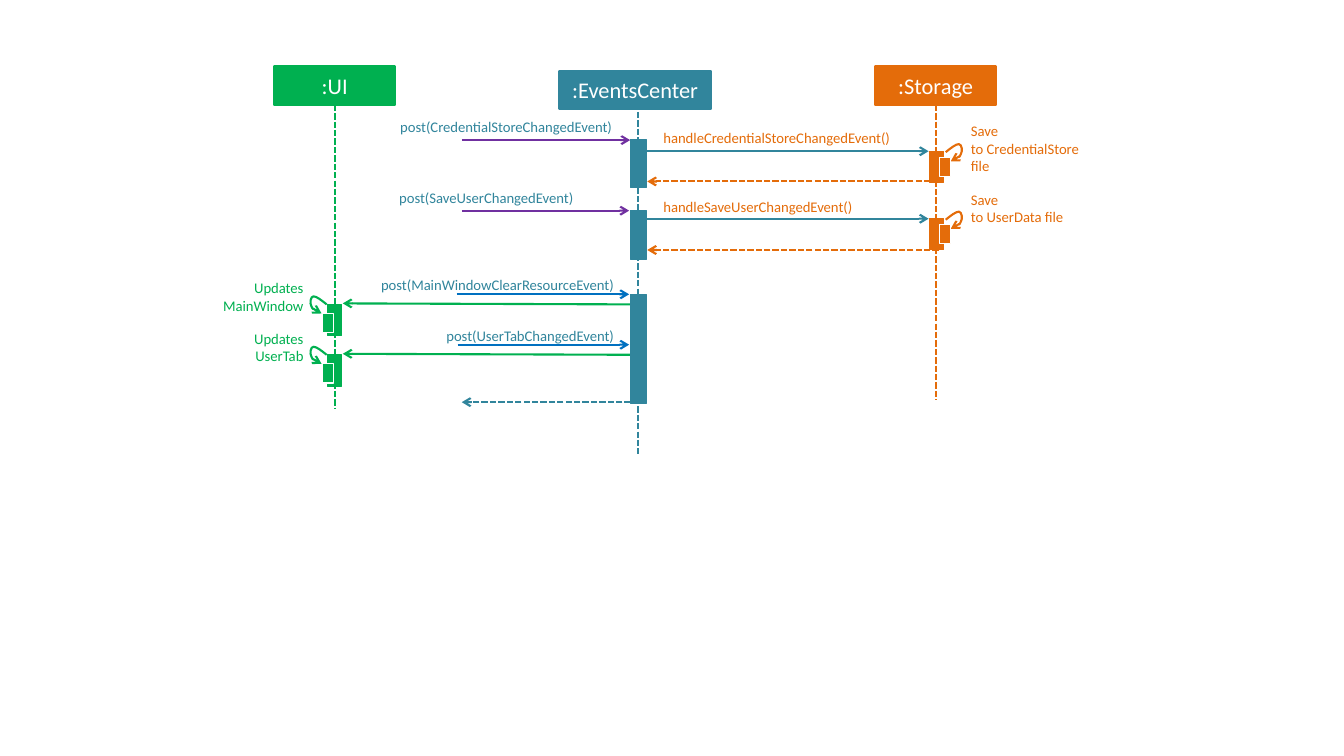
"""Sequence diagram of events passing between UI, EventsCenter and Storage."""
import pptx
import pptx.util
import pptx.dml.color
import pptx.enum.dml
import pptx.enum.shapes
import pptx.enum.text
import pptx.oxml.ns
import pptx.oxml.xmlchemy

PX = 9144
THEME = {
    "font": "Calibri", "head_size": 16, "label_size": 10.5, "line": 1.5, "thin": 0.75,
    "ui": "00B050", "events": "31859C", "storage": "E46C0A",
    "post": "7030A0", "update": "0070C0", "white": "FFFFFF",
}

HEADS = [
    (":UI", "ui", (272, 66, 120, 38), ((332, 104), (332, 406)), True),
    (":EventsCenter", "events", (555, 70, 150, 38), ((633, 111), (633, 450)), False),
    (":Storage", "storage", (868, 66, 120, 38), ((928, 104), (928, 397)), True),
]
EVENT_BARS = [(138, 48), (209, 48), (292, 108)]
EVENT_BAR_X, EVENT_BAR_W = 625, 16
BAR_W, BAR_H = 14, 31
INNER_W, INNER_H = 11, 19
SELF_CALLS = [
    ("storage", 922, 150, "Save\nto CredentialStore file", (963, 121, 112, 53)),
    ("storage", 922, 217, "Save\nto UserData file", (963, 189, 96, 35)),
    ("ui", 325, 302, "Updates\nMainWindow", (214, 277, 87, 35)),
    ("ui", 325, 352, "Updates\nUserTab", (214, 327, 87, 35)),
]
LOOP = [(21, 10), (25, 8), (30, 6), (31, 3), (33, 0), (32, -7), (29, -7),
        (26, -7), (21, -3), (16, 1)]
INNER = {"storage": (10, 6), "ui": (-5, 9)}

UI_MESSAGES = [
    ((627, 352), (340, 351), "ui", False),
    ((626, 302), (340, 301), "ui", False),
]
MESSAGES = [
    ((458, 139), (625, 139), "post", False),
    ((458, 209), (624, 209), "post", False),
    ((453, 292), (624, 292), "update", False),
    ((454, 342), (624, 342), "update", False),
    ((631, 150), (921, 150), "events", False),
    ((631, 217), (921, 217), "events", False),
    ((931, 180), (642, 180), "storage", True),
    ((931, 248), (642, 248), "storage", True),
    ((634, 399), (458, 399), "events", True),
]
LABELS = [
    ("post(CredentialStoreChangedEvent)", "events", (397, 117, 220, 18), "LEFT"),
    ("post(SaveUserChangedEvent)", "events", (396, 187, 220, 18), "LEFT"),
    ("post(MainWindowClearResourceEvent)", "events", (342, 274, 267, 18), "RIGHT"),
    ("post(UserTabChangedEvent)", "events", (342, 324, 267, 18), "RIGHT"),
    ("handleCredentialStoreChangedEvent()", "storage", (658, 128, 291, 18), "LEFT"),
    ("handleSaveUserChangedEvent()", "storage", (658, 196, 291, 18), "LEFT"),
]


def emu(values):
    return [v * PX for v in values]


def color(name):
    return pptx.dml.color.RGBColor.from_string(THEME[name])


def style_line(line, name, width):
    line.color.rgb = color(name)
    line.width = pptx.util.Pt(width)


def add_arrowhead(line, end):
    head = pptx.oxml.xmlchemy.OxmlElement(end)
    head.set("type", "arrow")
    line._get_or_add_ln().append(head)


def add_rect(shapes, box, fill, outline, width):
    sp = shapes.add_shape(pptx.enum.shapes.MSO_SHAPE.RECTANGLE, *emu(box))
    sp.shadow.inherit = False
    sp.fill.solid()
    sp.fill.fore_color.rgb = color(fill)
    style_line(sp.line, outline, width)
    return sp


def write(tf, text, name, size, align):
    p = tf.paragraphs[0]
    p.text = text
    p.alignment = pptx.enum.text.PP_ALIGN[align]
    p.font.name = THEME["font"]
    p.font.size = pptx.util.Pt(size)
    p.font.color.rgb = color(name)


def add_label(shapes, text, name, box, align):
    tf = shapes.add_textbox(*emu(box)).text_frame
    tf.word_wrap = True
    tf.auto_size = pptx.enum.text.MSO_AUTO_SIZE.SHAPE_TO_FIT_TEXT
    tf.margin_left = tf.margin_right = tf.margin_top = tf.margin_bottom = 0
    write(tf, text, name, THEME["label_size"], align)


def add_line(shapes, start, end, name, dashed, arrow=True):
    cx = shapes.add_connector(pptx.enum.shapes.MSO_CONNECTOR.STRAIGHT, *emu(start + end))
    style_line(cx.line, name, THEME["line"])
    if dashed:
        cx.line.dash_style = pptx.enum.dml.MSO_LINE.SQUARE_DOT
    if arrow:
        add_arrowhead(cx.line, "a:tailEnd")
    cx._element.spPr.append(pptx.oxml.xmlchemy.OxmlElement("a:effectLst"))
    return cx


def add_loop(shapes, points, name):
    start, *rest = [emu(pt) for pt in points]
    builder = shapes.build_freeform(*start)
    builder.add_line_segments(rest, close=False)
    sp = builder.convert_to_shape()
    sp.shadow.inherit = False
    sp.fill.background()
    style_line(sp.line, name, THEME["line"])
    add_arrowhead(sp.line, "a:headEnd")
    segments = list(sp._element.iter(pptx.oxml.ns.qn("a:lnTo")))
    for i in range(0, len(segments), 3):
        curve = pptx.oxml.xmlchemy.OxmlElement("a:cubicBezTo")
        segments[i].addprevious(curve)
        for segment in segments[i:i + 3]:
            curve.append(segment[0])
            segment.getparent().remove(segment)


def add_self_call(shapes, name, x, y, text, box):
    add_rect(shapes, (x, y, BAR_W, BAR_H), name, name, THEME["thin"])
    mirrored = name == "ui"
    points = [(x + BAR_W + 1 - dx, y + dy - 1) if mirrored else (x + dx, y + dy)
              for dx, dy in LOOP]
    add_loop(shapes, points, name)
    dx, dy = INNER[name]
    add_rect(shapes, (x + dx, y + dy, INNER_W, INNER_H), name, "white", THEME["thin"])
    add_label(shapes, text, name, box, "RIGHT" if mirrored else "LEFT")


def main():
    prs = pptx.Presentation()
    prs.slide_width, prs.slide_height = emu((1333, 750))
    s = prs.slides.add_slide(prs.slide_layouts[6])
    shapes = s.shapes
    for message in UI_MESSAGES:
        add_line(shapes, *message)
    for text, name, box, (start, end), joined in HEADS:
        head = add_rect(shapes, box, name, name, THEME["line"])
        head.text_frame.word_wrap = False
        head.text_frame.vertical_anchor = pptx.enum.text.MSO_ANCHOR.MIDDLE
        write(head.text_frame, text, "white", THEME["head_size"], "CENTER")
        lifeline = add_line(shapes, start, end, name, True, arrow=False)
        if joined:
            lifeline.begin_connect(head, 2)
    for y, height in EVENT_BARS:
        add_rect(shapes, (EVENT_BAR_X, y, EVENT_BAR_W, height), "events", "events", THEME["thin"])
    for call in SELF_CALLS:
        add_self_call(shapes, *call)
    for message in MESSAGES:
        add_line(shapes, *message)
    for label in LABELS:
        add_label(shapes, *label)
    prs.save("out.pptx")


if __name__ == "__main__":
    main()
